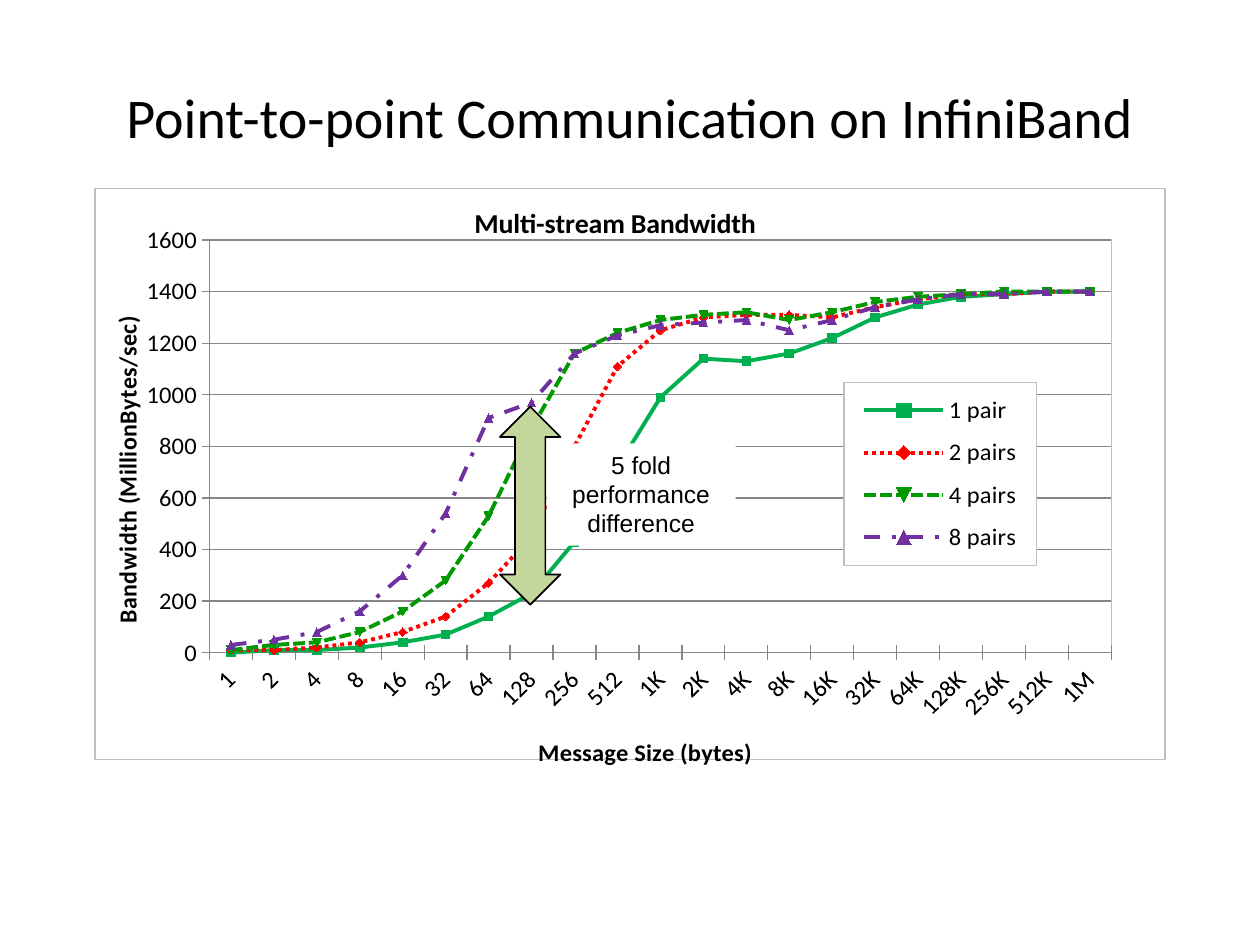
from typing import NamedTuple

from lxml import etree
from pptx import Presentation
from pptx.chart.data import CategoryChartData
from pptx.dml.color import RGBColor
from pptx.enum.chart import XL_CHART_TYPE, XL_LEGEND_POSITION, XL_TICK_MARK
from pptx.enum.dml import MSO_LINE
from pptx.enum.shapes import MSO_SHAPE
from pptx.enum.text import MSO_ANCHOR, PP_ALIGN
from pptx.oxml import parse_xml
from pptx.oxml.ns import qn
from pptx.util import Cm, Pt

LINE_MARKERS = XL_CHART_TYPE.LINE_MARKERS
LEGEND_RIGHT = XL_LEGEND_POSITION.RIGHT
TICK_CROSS = XL_TICK_MARK.CROSS
SOLID, DOTS = MSO_LINE.SOLID, MSO_LINE.ROUND_DOT
DASHES, DASH_DOT = MSO_LINE.SQUARE_DOT, MSO_LINE.DASH_DOT
MIDDLE, CENTER = MSO_ANCHOR.MIDDLE, PP_ALIGN.CENTER
BLACK, WHITE, GRID, FRAME = "000000", "FFFFFF", "868686", "BFBFBF"
NAMESPACES = (
    'xmlns:c="http://schemas.openxmlformats.org/drawingml/2006/chart" '
    'xmlns:a="http://schemas.openxmlformats.org/drawingml/2006/main"'
)


class Bandwidth(NamedTuple):
    name: str
    color: str
    dash: MSO_LINE
    values: tuple


class Place(NamedTuple):
    left: float
    top: float
    width: float
    height: float

    def lengths(self) -> list:
        return [Cm(value) for value in self]


SIZES = ["1", "2", "4", "8", "16", "32", "64", "128", "256", "512",
         "1K", "2K", "4K", "8K", "16K", "32K", "64K", "128K", "256K", "512K", "1M"]
RUNS = [
    Bandwidth("1 pair", "00B050", SOLID, (
        0, 10, 10, 20, 40, 70, 140, 230, 430, 720, 990,
        1140, 1130, 1160, 1220, 1300, 1350, 1380, 1390, 1400, 1400)),
    Bandwidth("2 pairs", "FF0000", DOTS, (
        10, 10, 20, 40, 80, 140, 270, 450, 800, 1110, 1250,
        1300, 1310, 1310, 1300, 1340, 1370, 1390, 1390, 1400, 1400)),
    Bandwidth("4 pairs", "009900", DASHES, (
        10, 30, 40, 80, 160, 280, 530, 870, 1160, 1240, 1290,
        1310, 1320, 1290, 1320, 1360, 1380, 1390, 1400, 1400, 1400)),
    Bandwidth("8 pairs", "7030A0", DASH_DOT, (
        30, 50, 80, 160, 300, 540, 910, 970, 1160, 1230, 1270,
        1280, 1290, 1250, 1290, 1340, 1370, 1390, 1390, 1400, 1400)),
]


def rgb(color: str) -> RGBColor:
    return RGBColor.from_string(color)


def set_font(font, name: str, size: float, bold: bool = False) -> None:
    font.name, font.size, font.bold = name, Pt(size), bold
    font.color.rgb = rgb(BLACK)


def set_fill(fill, color: str) -> None:
    fill.solid()
    fill.fore_color.rgb = rgb(color)


def set_layout(element, **fractions: float) -> None:
    """Place a chart part by fractions of the chart area."""
    for old in element.findall(qn("c:layout")):
        element.remove(old)
    layout = etree.Element(qn("c:layout"))
    manual = etree.SubElement(layout, qn("c:manualLayout"))
    if element.tag == qn("c:plotArea"):
        etree.SubElement(manual, qn("c:layoutTarget"), val="inner")
    for mode in ("xMode", "yMode"):
        etree.SubElement(manual, qn(f"c:{mode}"), val="edge")
    for name, value in fractions.items():
        etree.SubElement(manual, qn(f"c:{name}"), val=str(value))
    overlay = element.find(qn("c:overlay"))
    if overlay is None:
        element.insert(0, layout)
    else:
        overlay.addprevious(layout)


def framed_area():
    """White area with a thin grey border, for parts python-pptx cannot format."""
    return parse_xml(
        f'<c:spPr {NAMESPACES}><a:solidFill><a:srgbClr val="{WHITE}"/></a:solidFill>'
        f'<a:ln w="9525"><a:solidFill><a:srgbClr val="{FRAME}"/></a:solidFill></a:ln></c:spPr>'
    )


def write_chart_title(title, text: str, size: float, x: float, y: float) -> None:
    para = title.text_frame.paragraphs[0]
    para.text = text
    set_font(para.font, "Calibri", size, True)
    set_layout(title.format.line and title._element, x=x, y=y)


def add_bandwidth_chart(slide, place: Place) -> None:
    data = CategoryChartData(number_format="General")
    data.categories = SIZES
    for run in RUNS:
        data.add_series(run.name, run.values)
    chart = slide.shapes.add_chart(LINE_MARKERS, *place.lengths(), data).chart
    set_font(chart.font, "Calibri", 14)
    chart.element.find(qn("c:chart")).addnext(framed_area())

    # Titles
    chart.has_title = True
    write_chart_title(chart.chart_title, "Multi-stream Bandwidth", 16, 0.35, 0.02)
    chart.chart_title._element.find(qn("c:overlay")).set("val", "1")
    write_chart_title(chart.category_axis.axis_title, "Message Size (bytes)", 14, 0.41, 0.95)
    write_chart_title(chart.value_axis.axis_title, "Bandwidth (MillionBytes/sec)", 14, 0.01, 0.23)

    # Axes
    for axis in (chart.category_axis, chart.value_axis):
        axis.major_tick_mark = TICK_CROSS
        axis.format.line.color.rgb = rgb(GRID)
        set_font(axis.tick_labels.font, "Calibri", 14)
    labels = chart.category_axis._element.find(qn("c:txPr"))
    labels.find(qn("a:bodyPr")).set("rot", "-2700000")
    values = chart.value_axis
    values.minimum_scale, values.maximum_scale, values.major_unit = 0, 1600, 200
    values.major_gridlines.format.line.color.rgb = rgb(GRID)

    # Plot area and legend
    plot_area = chart.element.find(".//" + qn("c:plotArea"))
    set_layout(plot_area, x=0.107, y=0.091, w=0.843, h=0.722)
    plot_area.append(framed_area())
    chart.has_legend = True
    legend = chart.legend
    legend.position = LEGEND_RIGHT
    legend.include_in_layout = False
    set_layout(legend._element, x=0.7, y=0.34, w=0.18, h=0.32)
    legend._element.find(qn("c:overlay")).addnext(framed_area())
    set_font(legend.font, "Calibri", 14)

    # Series
    chart.plots[0].vary_by_categories = False
    for series, run in zip(chart.plots[0].series, RUNS):
        series.smooth = False
        line = series.format.line
        line.color.rgb, line.width, line.dash_style = rgb(run.color), Pt(2.25), run.dash
        series.marker.size = 5
        set_fill(series.marker.format.fill, run.color)
        series.marker.format.line.color.rgb = rgb(run.color)


def add_gap_arrow(slide, place: Place) -> None:
    arrow = slide.shapes.add_shape(MSO_SHAPE.UP_DOWN_ARROW, *place.lengths())
    arrow.shadow.inherit = False
    set_fill(arrow.fill, "C3D69B")
    arrow.line.color.rgb, arrow.line.width = rgb(BLACK), Pt(1)


def add_note(slide, place: Place, text: str) -> None:
    box = slide.shapes.add_textbox(*place.lengths())
    set_fill(box.fill, WHITE)
    box.text_frame.word_wrap = True
    para = box.text_frame.paragraphs[0]
    para.text, para.alignment = text, CENTER
    set_font(para.font, "Arial", 14)


def main() -> None:
    deck = Presentation()
    deck.slide_width, deck.slide_height = Cm(25.4), Cm(19.05)
    slide = deck.slides.add_slide(deck.slide_layouts[5])

    # Chart, behind the arrow and its note
    add_bandwidth_chart(slide, Place(1.9, 3.78, 21.6, 11.84))

    # Slide title
    title = slide.shapes.title
    title.left, title.top, title.width, title.height = Place(1.27, 0.76, 22.86, 3.18).lengths()
    title.text_frame.vertical_anchor = MIDDLE
    para = title.text_frame.paragraphs[0]
    para.text, para.alignment = "Point-to-point Communication on InfiniBand", CENTER
    set_font(para.font, "Calibri", 32)

    # Difference at 128 bytes
    add_gap_arrow(slide, Place(10.08, 8.2, 1.22, 3.99))
    add_note(slide, Place(11.02, 8.94, 3.81, 2.06), "5 fold performance difference")

    deck.save("out.pptx")


if __name__ == "__main__":
    main()
